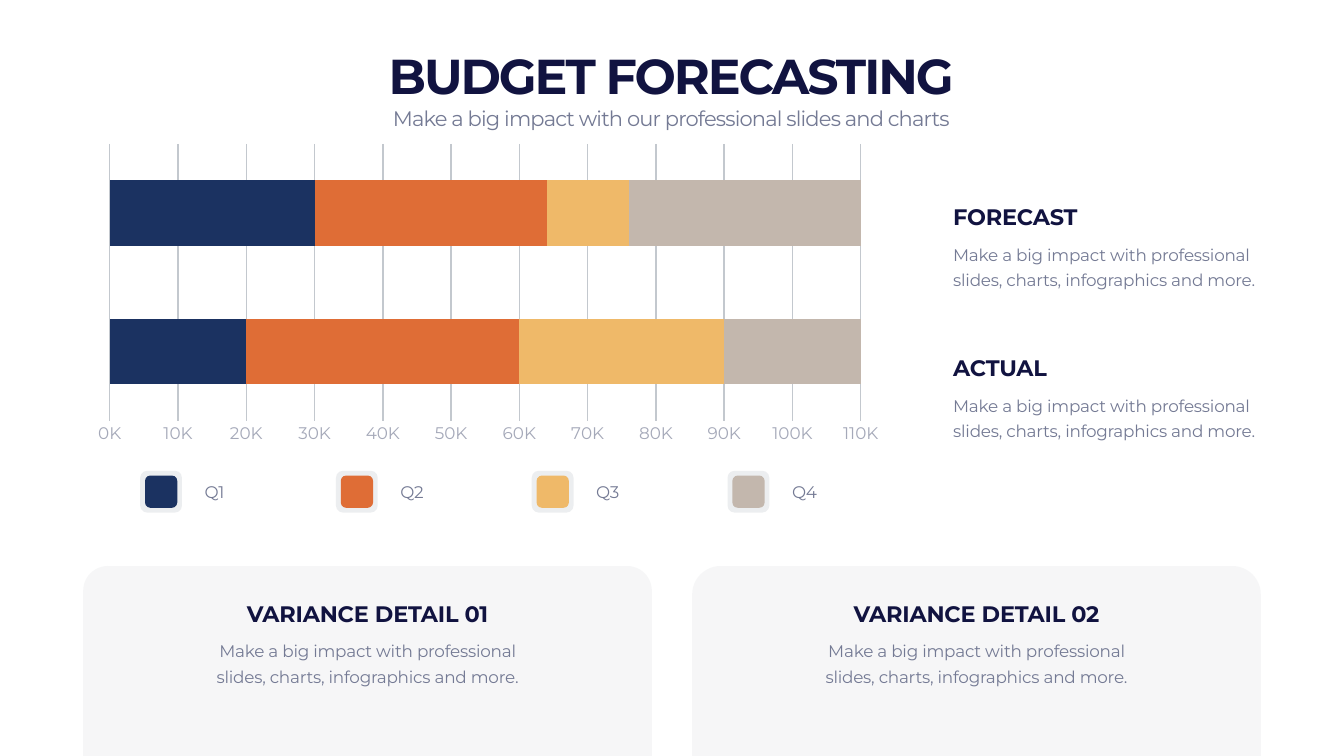
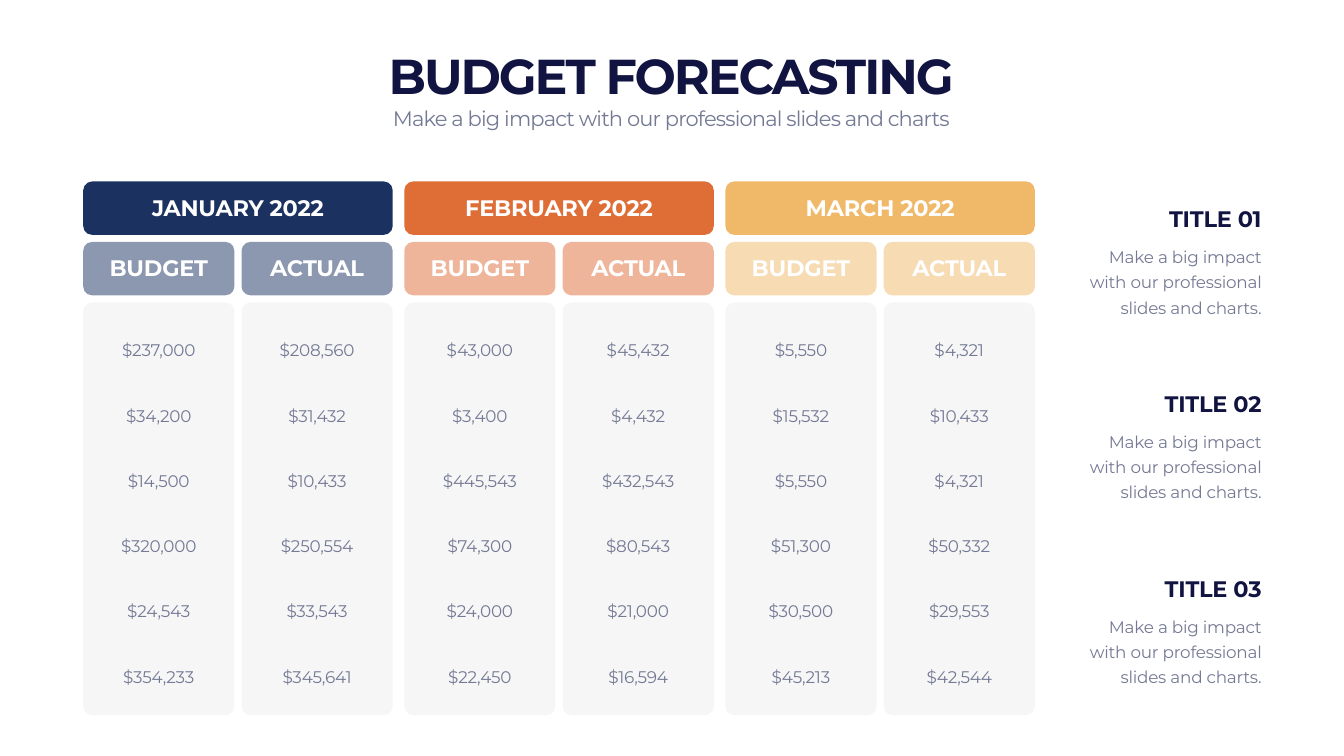
from lxml.etree import SubElement as Sub
from pptx import Presentation
from pptx.chart.data import CategoryChartData as Data
from pptx.dml.color import RGBColor as RGB
from pptx.enum.chart import XL_CHART_TYPE as Chart, XL_TICK_MARK as Tick
from pptx.enum.shapes import MSO_SHAPE as Shape
from pptx.enum.text import MSO_ANCHOR as Anchor, MSO_AUTO_SIZE as Fit, PP_ALIGN as Align
from pptx.oxml.ns import qn
from pptx.util import Inches, Pt

WIDE, HIGH = Inches(26.66), Inches(15)
COL, ROW = WIDE / 100, HIGH / 100
FACE = "Montserrat"
INK, SLATE, PALE, MIST, WHITE = "111340", "747A94", "A5A9B9", "C3C8CE", "FFFFFF"
NAVY, RUST, GOLD, SAND = HUES = ["1B3261", "DF6D36", "EFB969", "C3B7AD"]
LEFT, MID, RIGHT = Align.LEFT, Align.CENTER, Align.RIGHT
HEAD_H, LINE_H = 4.27, 3.73
BLURB = "Make a big impact with professional slides, charts, infographics and more."
BRIEF = "Make a big impact with our professional slides and charts."

deck = Presentation()
deck.slide_width, deck.slide_height = WIDE, HIGH


def tint(hue):
    return RGB.from_string(hue)


def grid(x, y, w, h):
    return [round(n) for n in (x * COL, y * ROW, w * COL, h * ROW)]


def block(slide, box, hue, alpha=100, kind=Shape.ROUNDED_RECTANGLE, curve=None):
    shape = slide.shapes.add_shape(kind, *grid(*box))
    shape.shadow.inherit = False
    shape.line.fill.background()
    shape.fill.solid()
    shape.fill.fore_color.rgb = tint(hue)
    if curve is not None:
        shape.adjustments[0] = curve
    if alpha < 100:
        color = shape.fill._xPr.find(".//" + qn("a:srgbClr"))
        Sub(color, qn("a:alpha"), val=str(alpha * 1000))


def style(shape, words, size, hue, align, bold=False, track=-0.3, lead=None, anchor=Anchor.TOP):
    frame = shape.text_frame
    frame.text = words
    frame.word_wrap = True
    frame.auto_size = Fit.SHAPE_TO_FIT_TEXT
    frame.vertical_anchor = anchor
    para = frame.paragraphs[0]
    para.alignment = align
    if lead:
        para.line_spacing = Pt(lead)
    font = para.font
    font.name, font.size, font.bold = FACE, Pt(size), bold
    font.color.rgb = tint(hue)
    para._p.pPr.find(qn("a:defRPr")).set("spc", str(round(track * 100)))


def label(slide, box, words, size, hue, align, **look):
    style(slide.shapes.add_textbox(*grid(*box)), words, size, hue, align, **look)


def head(slide, box, words, align, hue=INK):
    label(slide, box, words, 32, hue, align, bold=True, anchor=Anchor.BOTTOM)


def body(slide, box, words, align):
    label(slide, box, words, 24, SLATE, align, lead=36)


def note(slide, box, title, words, align):
    x, y, w, h = box
    head(slide, (x, y, w, HEAD_H), title, align)
    body(slide, (x, y + 4.87, w, h - 4.87), words, align)


def start():
    slide = deck.slides.add_slide(deck.slide_layouts[5])
    title = slide.shapes.title
    title.left, title.top, title.width, title.height = grid(6.19, 4.93, 87.5, 9.2)
    style(title, "BUDGET FORECASTING", 70, INK, MID, bold=True, track=-2.9, lead=94,
          anchor=Anchor.BOTTOM)
    label(slide, (6.19, 13.67, 87.5, 4.07),
          "Make a big impact with our professional slides and charts", 30, SLATE, MID, track=-1.2)
    return slide


def place(chart, x, y, w, h):
    area = chart._chartSpace.find(".//" + qn("c:plotArea"))
    for old in area.findall(qn("c:layout")):
        area.remove(old)
    lay = Sub(area, qn("c:layout"))
    area.insert(0, lay)
    inner = Sub(lay, qn("c:manualLayout"))
    Sub(inner, qn("c:layoutTarget"), val="inner")
    for tag in ("xMode", "yMode"):
        Sub(inner, qn("c:" + tag), val="edge")
    for tag, share in zip("xywh", (x, y, w, h)):
        Sub(inner, qn("c:" + tag), val=str(share))


def bars(slide, box):
    data = Data()
    data.categories = ["1", "2"]
    for n, pair in enumerate([(20, 30), (40, 34), (30, 12), (20, 34)], 1):
        data.add_series(f"Series {n}", pair)
    chart = slide.shapes.add_chart(Chart.BAR_STACKED, *grid(*box), data).chart
    chart.has_legend = chart.has_title = False
    chart.font.name, chart.font.size = "Calibri", Pt(10)
    chart.font.color.rgb = tint(SLATE)
    plot = chart.plots[0]
    plot.gap_width, plot.overlap, plot.vary_by_categories = 110, 100, False
    for part, hue in zip(plot.series, HUES):
        part.format.fill.solid()
        part.format.fill.fore_color.rgb = tint(hue)
    chart.category_axis.visible = False
    axis = chart.value_axis
    axis.minimum_scale, axis.maximum_scale, axis.major_unit = 0, 110, 10
    axis.major_tick_mark = axis.minor_tick_mark = Tick.NONE
    axis.format.line.fill.background()
    rule = axis.major_gridlines.format.line
    rule.width = Pt(2)
    rule.color.rgb = tint(MIST)
    ticks = axis.tick_labels
    ticks.number_format, ticks.number_format_is_linked = "General\\K", False
    ticks.font.name, ticks.font.size = FACE, Pt(24)
    ticks.font.color.rgb = tint(PALE)
    place(chart, 0.034, 0.02, 0.923, 0.885)


def legend(slide, box):
    left, y, w, h = box
    step = w / len(HUES)
    for n, hue in enumerate(HUES):
        x = left + n * step
        block(slide, (x, y, 3.11, h), MIST, 30)
        block(slide, (x + 0.36, y + 0.63, 2.4, h - 1.26), hue)
        body(slide, (x + 4.43, y + 0.47, 8.06, LINE_H), f"Q{n + 1}", LEFT)


def card(slide, box, title, curve):
    x, y, w, h = box
    block(slide, box, MIST, 15, Shape.ROUND_2_SAME_RECTANGLE, curve)
    note(slide, (x + 7.79, y + 4.07, w - 15.58, 12.07), title, BLURB, MID)


def month(slide, box, title, hue, sides):
    left, y, w, h = box
    bar, step, wide = 7.07, 11.78, 11.25
    block(slide, (left, y, w, bar), hue)
    head(slide, (left + 3.95, y + 1.27, w - 7.9, HEAD_H), title, MID, WHITE)
    for n, (name, sums) in enumerate(zip(("BUDGET", "ACTUAL"), sides)):
        x = left + n * step
        block(slide, (x, y + 8, wide, bar), hue, 50)
        head(slide, (x + 0.58, y + 9.27, wide - 1.16, HEAD_H), name, MID, WHITE)
        block(slide, (x, y + 16, wide, h - 16), MIST, 15, curve=0.06)
        for row, money in enumerate(sums.split()):
            body(slide, (x + 1.76, y + 20 + row * 8.63, wide - 3.52, LINE_H), money, MID)


def forecast():
    slide = start()
    bars(slide, (6.11, 18.2, 60.54, 41.4))
    legend(slide, (10.43, 62.27, 58.27, 5.53))
    for n, title in enumerate(("FORECAST", "ACTUAL")):
        note(slide, (70.55, 26.47 + n * 20, 24.53, 12.07), title, BLURB, LEFT)
    for n, curve in enumerate((0.13, 0.15)):
        card(slide, (6.19 + n * 45.31, 74.87, 42.31, 25.13), f"VARIANCE DETAIL 0{n + 1}", curve)


def months():
    slide = start()
    plan = [
        ("JANUARY 2022", NAVY, ("$237,000 $34,200 $14,500 $320,000 $24,543 $354,233",
                                "$208,560 $31,432 $10,433 $250,554 $33,543 $345,641")),
        ("FEBRUARY 2022", RUST, ("$43,000 $3,400 $445,543 $74,300 $24,000 $22,450",
                                 "$45,432 $4,432 $432,543 $80,543 $21,000 $16,594")),
        ("MARCH 2022", GOLD, ("$5,550 $15,532 $5,550 $51,300 $30,500 $45,213",
                              "$4,321 $10,433 $4,321 $50,332 $29,553 $42,544")),
    ]
    for n, (title, hue, sides) in enumerate(plan):
        month(slide, (6.19 + n * 23.89, 24, 23.03, 70.6), title, hue, sides)
        note(slide, (79.11, 26.8 + n * 24.43, 15.12, 15.34), f"TITLE 0{n + 1}", BRIEF, RIGHT)


forecast()
months()
deck.save("out.pptx")
